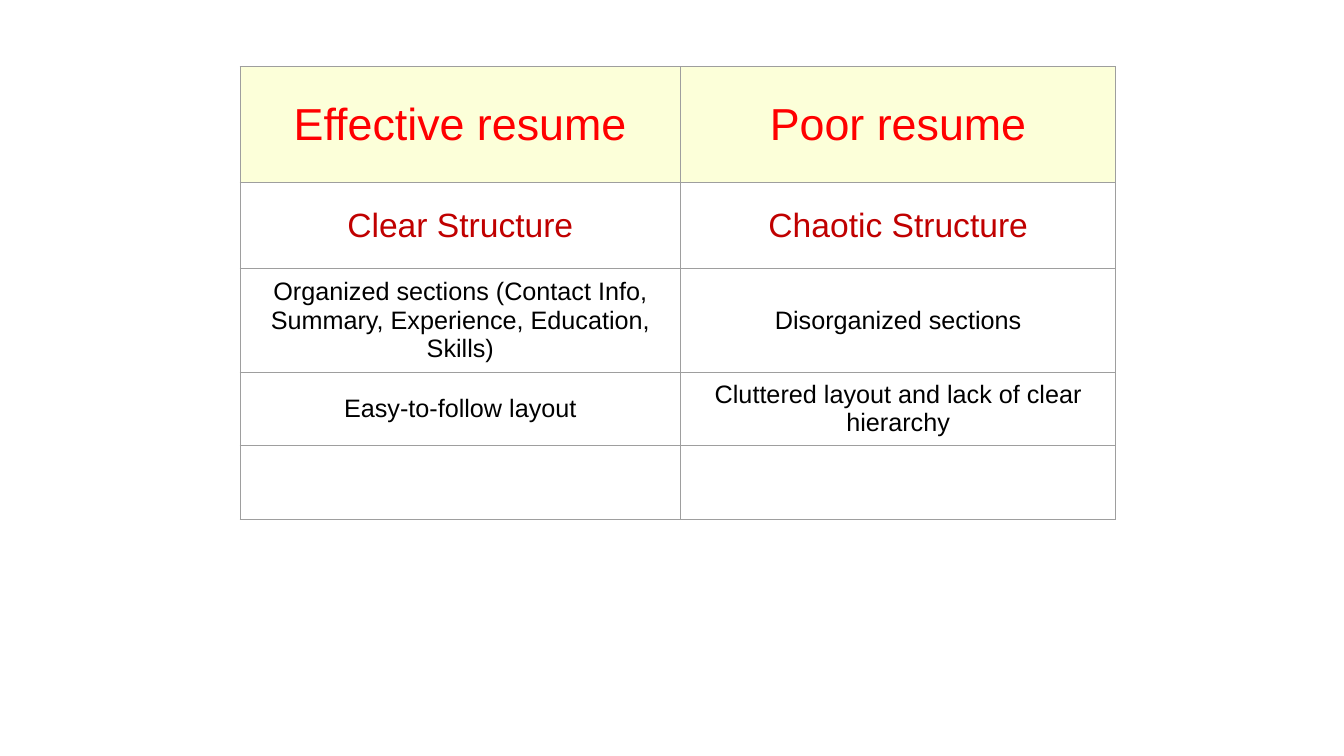
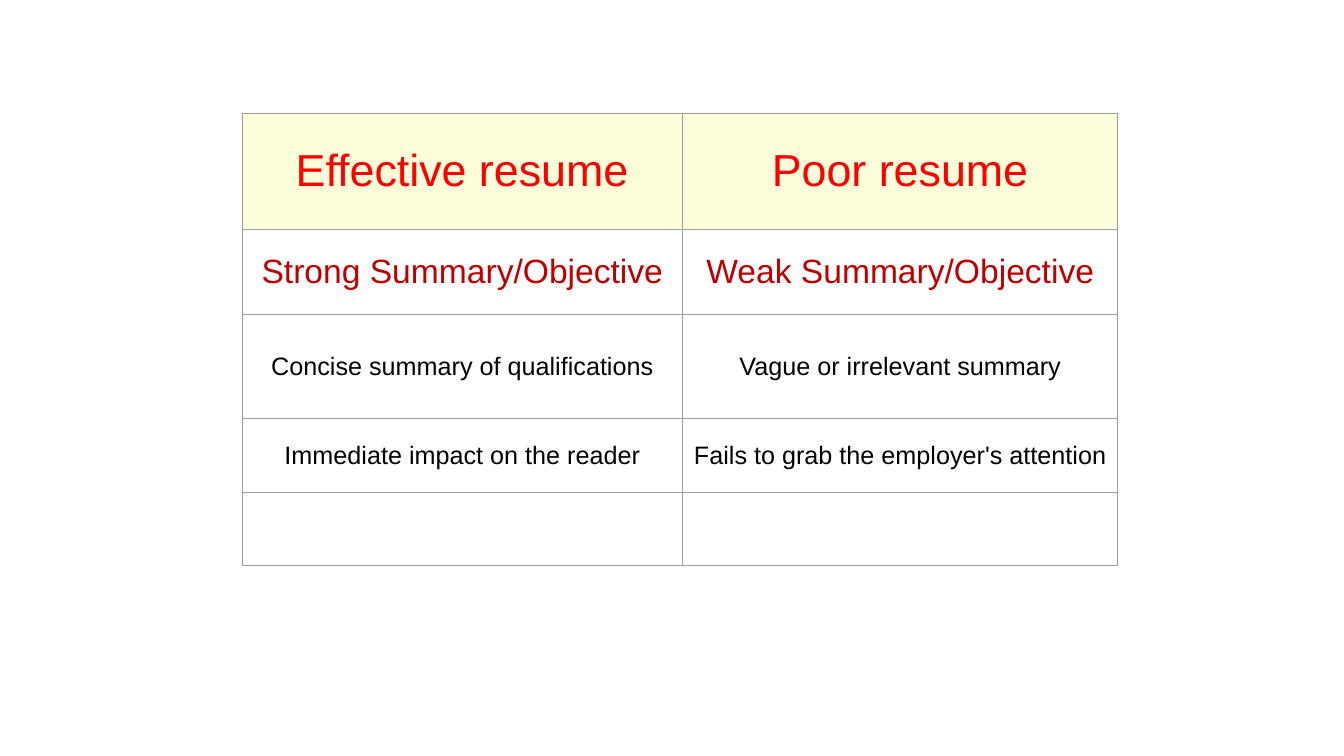
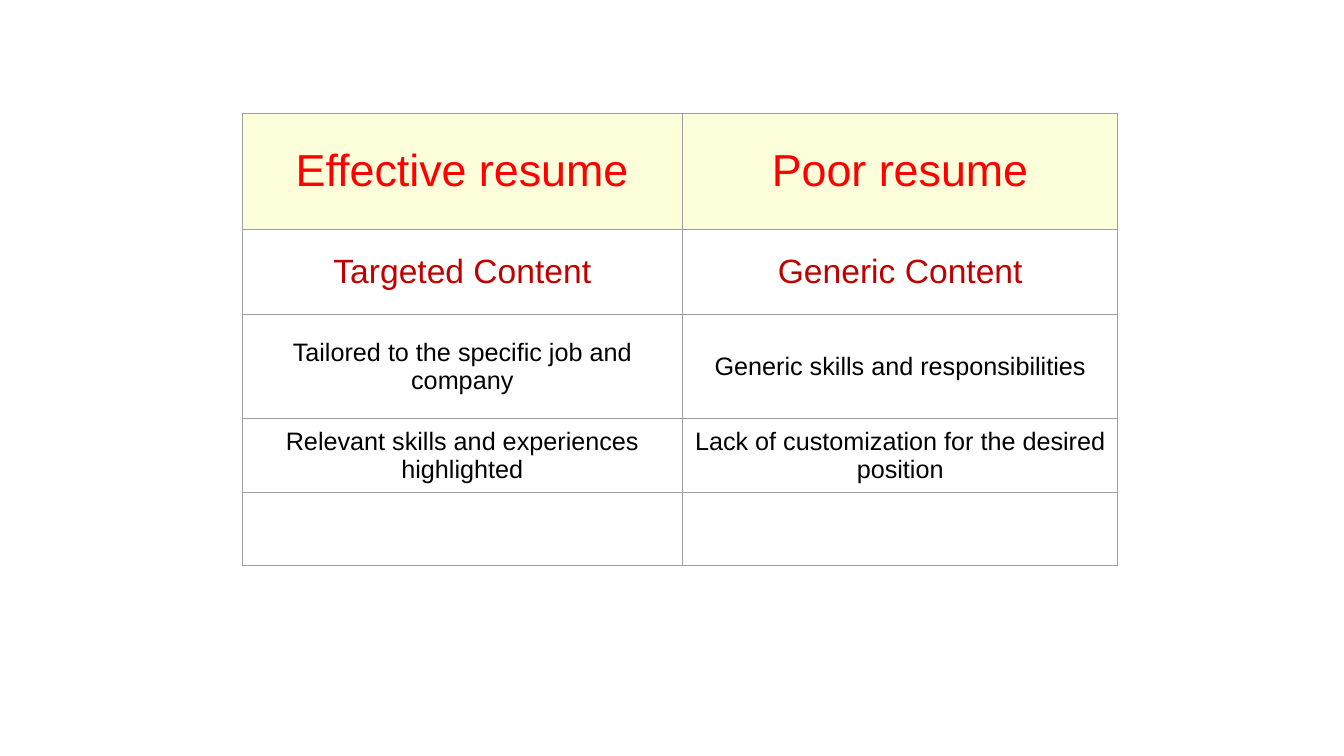
import pptx
import pptx.dml.color
import pptx.enum.text
import pptx.oxml.ns
import pptx.util
from lxml import etree

Cm = pptx.util.Cm
RGBColor = pptx.dml.color.RGBColor

# Content: table position in cm, then the rows below the shared header
HEADER = ("Effective resume", "Poor resume")
COMPARISONS = [
    ((6.05, 1.68), [
        ("Clear Structure", "Chaotic Structure"),
        ("Organized sections (Contact Info, Summary, Experience, Education, Skills)",
         "Disorganized sections"),
        ("Easy-to-follow layout", "Cluttered layout and lack of clear hierarchy"),
    ]),
    ((6.1, 2.85), [
        ("Strong Summary/Objective", "Weak Summary/Objective"),
        ("Concise summary of qualifications", "Vague or irrelevant summary"),
        ("Immediate impact on the reader", "Fails to grab the employer's attention"),
    ]),
    ((6.1, 2.85), [
        ("Targeted Content", "Generic Content"),
        ("Tailored to the specific job and company",
         "Generic skills and responsibilities"),
        ("Relevant skills and experiences highlighted",
         "Lack of customization for the desired position"),
    ]),
]

# Shared look
CREAM = RGBColor(0xFC, 0xFF, 0xD9)
RED = RGBColor(0xFF, 0x00, 0x00)
DARK_RED = RGBColor(0xC0, 0x00, 0x00)
BLACK = RGBColor(0x00, 0x00, 0x00)
GREY = RGBColor(0x9E, 0x9E, 0x9E)
FONT = "Arial"
COLUMN_WIDTHS = (11.1, 10.97)
BODY = (18, BLACK, None)
# Height in cm, then text size, text colour and fill; the last row stays empty
ROW_STYLES = [
    (2.92, (32, RED, CREAM)),
    (2.16, (24, DARK_RED, None)),
    (2.62, BODY),
    (1.85, BODY),
    (1.85, BODY),
]


def add_borders(cell):
    properties = cell._tc.get_or_add_tcPr()
    qn = pptx.oxml.ns.qn
    for side in ("a:lnL", "a:lnR", "a:lnT", "a:lnB"):
        line = etree.SubElement(properties, qn(side), w=str(pptx.util.Pt(0.75)))
        fill = etree.SubElement(line, qn("a:solidFill"))
        etree.SubElement(fill, qn("a:srgbClr"), val=str(GREY))


def format_cell(cell, text, size, colour, fill):
    add_borders(cell)
    if fill is None:
        cell.fill.background()
    else:
        cell.fill.solid()
        cell.fill.fore_color.rgb = fill
    cell.vertical_anchor = pptx.enum.text.MSO_ANCHOR.MIDDLE
    para = cell.text_frame.paragraphs[0]
    para.text = text
    para.alignment = pptx.enum.text.PP_ALIGN.CENTER
    for span in para.runs:
        span.font.name = FONT
        span.font.size = pptx.util.Pt(size)
        span.font.color.rgb = colour


def add_comparison(page, left, top, rows):
    height = sum(row_height for row_height, _ in ROW_STYLES)
    frame = page.shapes.add_table(
        len(ROW_STYLES), len(COLUMN_WIDTHS),
        Cm(left), Cm(top), Cm(sum(COLUMN_WIDTHS)), Cm(height))
    table = frame.table
    table.first_row = table.horz_banding = False
    for column, width in zip(table.columns, COLUMN_WIDTHS):
        column.width = Cm(width)
    texts = [HEADER, *rows, ("", "")]
    for row, (row_height, style), pair in zip(table.rows, ROW_STYLES, texts):
        row.height = Cm(row_height)
        for cell, text in zip(row.cells, pair):
            format_cell(cell, text, *style)


def main():
    deck = pptx.Presentation()
    deck.slide_width, deck.slide_height = Cm(33.87), Cm(19.05)
    blank = deck.slide_layouts.get_by_name("Blank")
    for (left, top), rows in COMPARISONS:
        add_comparison(deck.slides.add_slide(blank), left, top, rows)
    deck.save("out.pptx")


if __name__ == "__main__":
    main()
